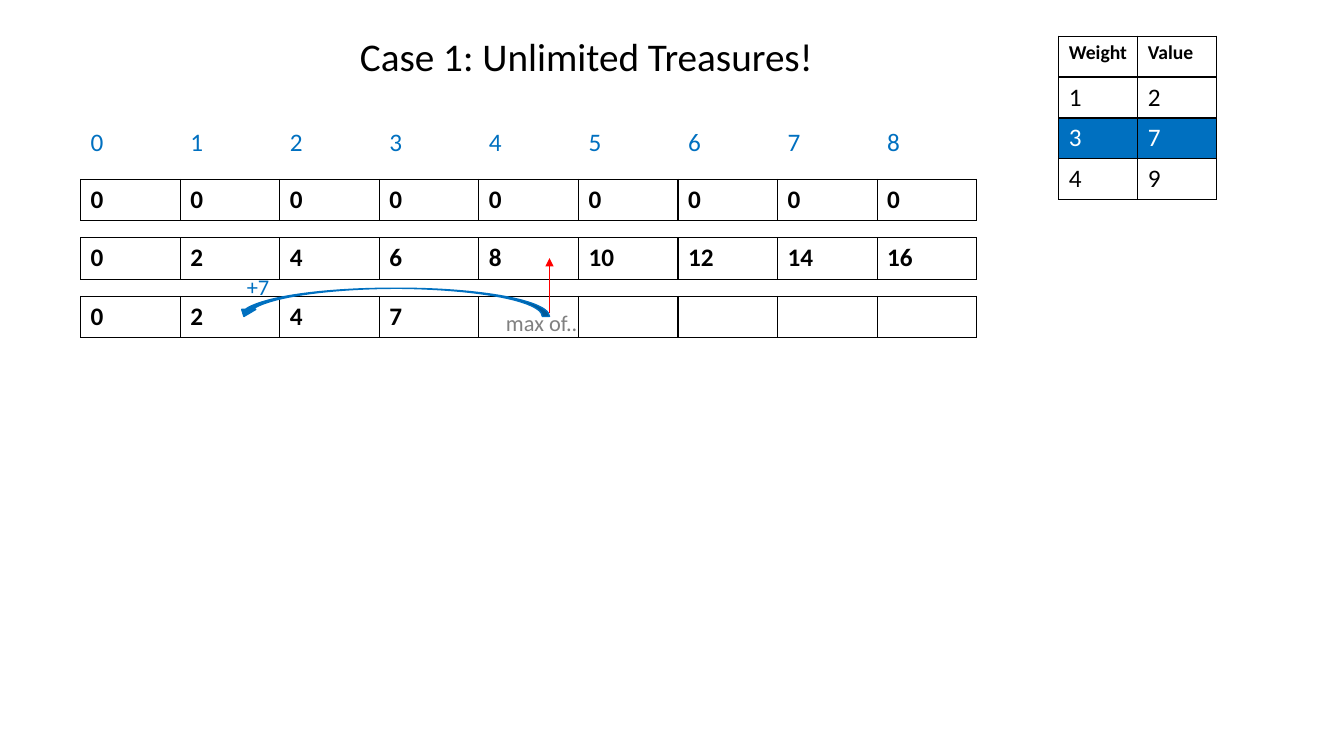
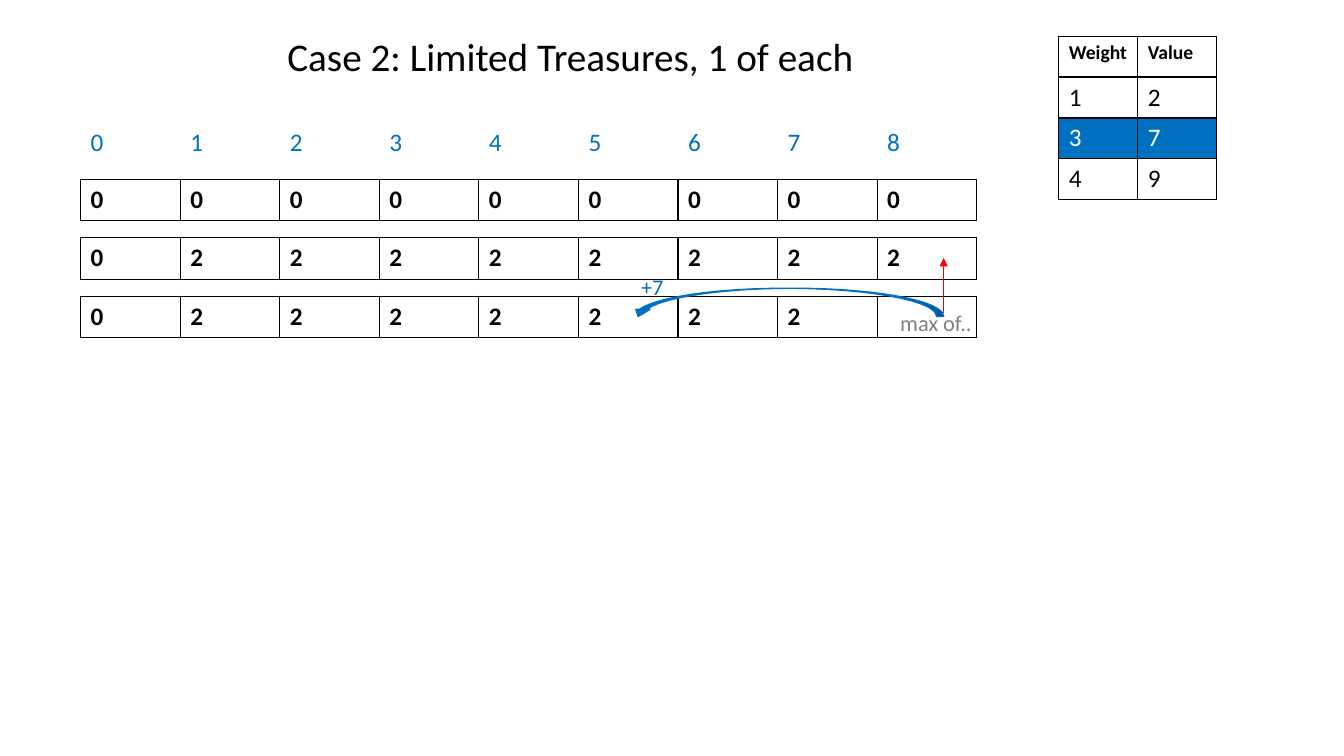
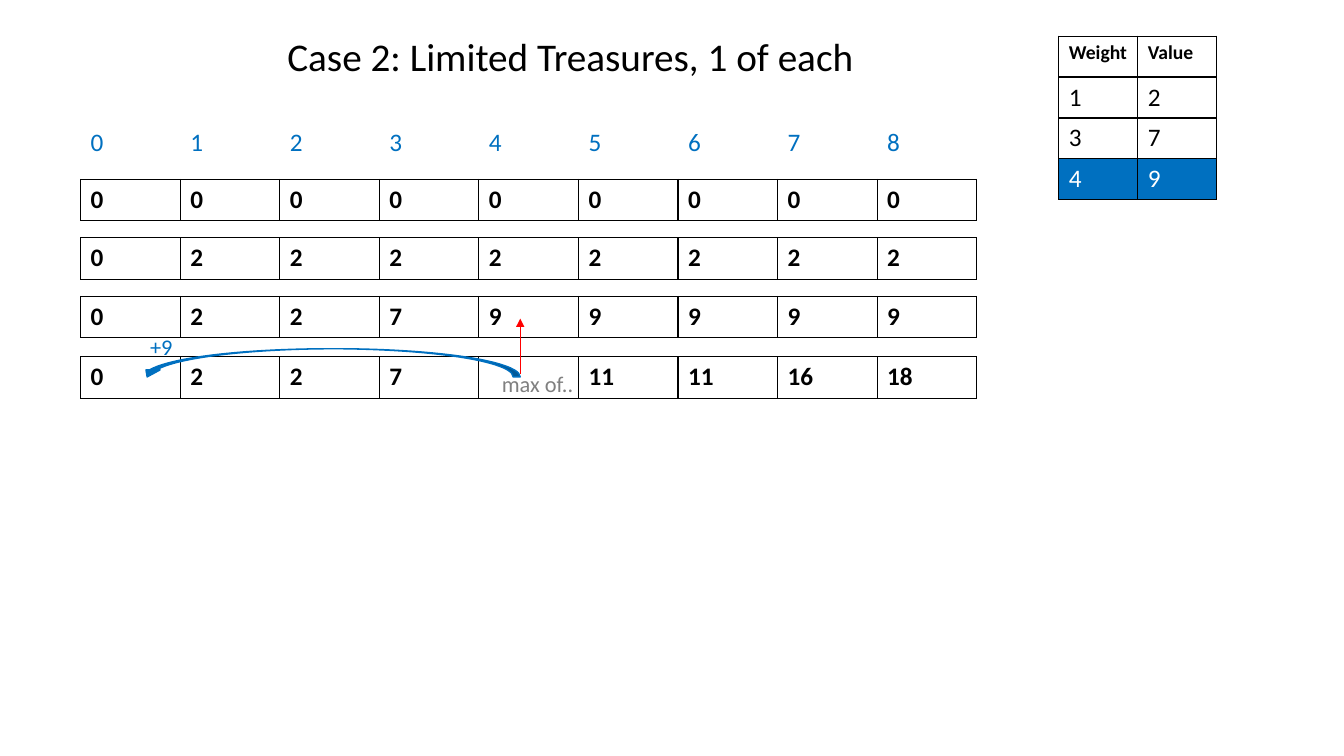
from dataclasses import dataclass

from lxml import etree
from pptx import Presentation
from pptx.dml.color import RGBColor
from pptx.enum.shapes import MSO_CONNECTOR, MSO_SHAPE
from pptx.enum.text import MSO_ANCHOR, MSO_AUTO_SIZE, PP_ALIGN
from pptx.oxml.ns import qn
from pptx.util import Inches, Pt

STRAIGHT = MSO_CONNECTOR.STRAIGHT
CURVED_ARROW = MSO_SHAPE.CURVED_UP_ARROW
TOP = MSO_ANCHOR.TOP
LEFT = PP_ALIGN.LEFT
NO_AUTOFIT = MSO_AUTO_SIZE.NONE
TITLE_ONLY = 5

COLORS = {
    "black": "000000",
    "white": "FFFFFF",
    "blue": "0070C0",
    "red": "FF0000",
    "gray": "808080",
}
TITLE = {"size": Pt(28), "bold": False}
INDEX = {"size": Pt(18), "bold": False}
VALUE = {"size": Pt(18), "bold": True}
HEADER = {"size": Pt(14), "bold": True}
NOTE = {"size": Pt(16), "bold": False}

GRID_LEFT, GRID_WIDTH, ROW_HEIGHT = 0.8, 8.89, 0.41
INDEX_TOP = 1.21
ROW_TOPS = (1.78, 2.36, 2.94, 3.54)
CAPACITIES = "0 1 2 3 4 5 6 7 8".split()
ITEMS = (("Weight", "Value"), ("1", "2"), ("3", "7"), ("4", "9"))


@dataclass
class Step:
    """The choice shown on the last row: curved arrow back, line up, two notes."""
    gain: str
    left: float
    right: float
    note_left: float
    note_width: float


@dataclass
class Case:
    title: str
    title_left: float
    title_width: float
    item: int
    rows: list[list[str]]
    step: Step


ZEROS = ["0"] * 9
TWOS = ["0"] + ["2"] * 8
LIMITED = ("Case 2: Limited Treasures, 1 of each", 2.75, 5.88)

CASES = [
    Case("Case 1: Unlimited Treasures!", 3.47, 4.74, 2,
         [ZEROS,
          ["0", "2", "4", "6", "8", "10", "12", "14", "16"],
          ["0", "2", "4", "7", "", "", "", "", ""]],
         Step("+7", 2.35, 5.45, 4.92, 2.11)),
    Case(*LIMITED, 2,
         [ZEROS, TWOS, TWOS[:8] + [""]],
         Step("+7", 6.26, 9.36, 8.83, 2.11)),
    Case(*LIMITED, 3,
         [ZEROS, TWOS,
          ["0", "2", "2", "7", "9", "9", "9", "9", "9"],
          ["0", "2", "2", "7", "", "11", "11", "16", "18"]],
         Step("+9", 1.39, 5.16, 4.88, 2.56)),
]


def rgb(name: str) -> RGBColor:
    return RGBColor.from_string(COLORS[name])


def format_font(font, style: dict, color: str) -> None:
    for name, value in {"name": "Calibri", **style}.items():
        setattr(font, name, value)
    font.color.rgb = rgb(color)


def write(tf, text: str, style: dict, color: str) -> None:
    tf.word_wrap = True
    tf.auto_size = NO_AUTOFIT
    tf.vertical_anchor = TOP
    tf.margin_left, tf.margin_right = Inches(0.1), 0
    tf.margin_top = tf.margin_bottom = Inches(0.05)
    p = tf.paragraphs[0]
    p.alignment = LEFT
    r = p.add_run()
    r.text = text
    format_font(r.font, style, color)


def place(sp, left: float, top: float, width: float, height: float) -> None:
    sp.left, sp.top = Inches(left), Inches(top)
    sp.width, sp.height = Inches(width), Inches(height)


def set_borders(cell, visible: bool) -> None:
    tc_pr = cell._tc.get_or_add_tcPr()
    for side in ("lnL", "lnR", "lnT", "lnB"):
        ln = etree.SubElement(tc_pr, qn(f"a:{side}"), w=str(Pt(1)))
        if visible:
            fill = etree.SubElement(ln, qn("a:solidFill"))
            etree.SubElement(fill, qn("a:srgbClr"), val=COLORS["black"])
        else:
            etree.SubElement(ln, qn("a:noFill"))


def add_grid(s, rows, left: float, top: float, width: float, height: float):
    """Add an empty, unstyled table that fits the rows."""
    table = s.shapes.add_table(len(rows), len(rows[0]), Inches(left), Inches(top),
                               Inches(width), Inches(height)).table
    table.first_row = table.horz_banding = False
    return table


def fill_cell(cell, text: str, style: dict, color: str = "black",
              fill: str = "", border: bool = True) -> None:
    set_borders(cell, border)
    if fill:
        cell.fill.solid()
        cell.fill.fore_color.rgb = rgb(fill)
    else:
        cell.fill.background()
    cell.text = text
    format_font(cell.text_frame.paragraphs[0].font, style, color)


def add_value_row(s, values: list[str], top: float, style: dict,
                  color: str = "black", border: bool = True) -> None:
    table = add_grid(s, [values], GRID_LEFT, top, GRID_WIDTH, ROW_HEIGHT)
    for cell, text in zip(table.iter_cells(), values):
        fill_cell(cell, text, style, color, border=border)


def add_items(s, chosen: int) -> None:
    table = add_grid(s, ITEMS, 10.5, 0.36, 1.57, 1.62)
    for i, item in enumerate(ITEMS):
        style = INDEX if i else HEADER
        color, fill = ("white", "blue") if i == chosen else ("black", "")
        for j, text in enumerate(item):
            fill_cell(table.cell(i, j), text, style, color, fill)


def add_note(s, text: str, color: str, left: float, top: float, width: float) -> None:
    box = s.shapes.add_textbox(Inches(left), Inches(top), Inches(width), Inches(0.37))
    write(box.text_frame, text, NOTE, color)


def add_step(s, step: Step, row_top: float) -> None:
    x = Inches(step.right)
    line = s.shapes.add_connector(STRAIGHT, x, Inches(row_top + 0.17),
                                  x, Inches(row_top - 0.38))
    line.line.color.rgb = rgb("red")
    line.line.width = Pt(1)
    etree.SubElement(line.line._get_or_add_ln(), qn("a:tailEnd"), type="triangle")
    etree.SubElement(line._element.spPr, qn("a:effectLst"))

    add_note(s, step.gain, "blue", step.left, row_top - 0.28, 0.43)
    add_note(s, "max of..", "gray", step.note_left, row_top + 0.08, step.note_width)

    arrow = s.shapes.add_shape(CURVED_ARROW, 0, 0, 0, 0)
    place(arrow, step.left, row_top - 0.08, step.right - step.left, 0.28)
    for flip in ("flipH", "flipV"):
        arrow._element.spPr.xfrm.set(flip, "1")
    arrow.shadow.inherit = False
    arrow.fill.solid()
    arrow.fill.fore_color.rgb = rgb("blue")
    arrow.line.color.rgb = rgb("blue")
    arrow.line.width = Pt(1)


def add_case(prs, case: Case) -> None:
    s = prs.slides.add_slide(prs.slide_layouts[TITLE_ONLY])
    title = s.shapes.title
    place(title, case.title_left, 0.27, case.title_width, 0.57)
    write(title.text_frame, case.title, TITLE, "black")
    add_value_row(s, CAPACITIES, INDEX_TOP, INDEX, "blue", border=False)
    for top, values in zip(ROW_TOPS, case.rows):
        add_value_row(s, values, top, VALUE)
    add_items(s, case.item)
    add_step(s, case.step, ROW_TOPS[len(case.rows) - 1])


def main() -> None:
    prs = Presentation()
    prs.slide_width, prs.slide_height = Inches(13.33), Inches(7.5)
    for case in CASES:
        add_case(prs, case)
    prs.save("out.pptx")


if __name__ == "__main__":
    main()
